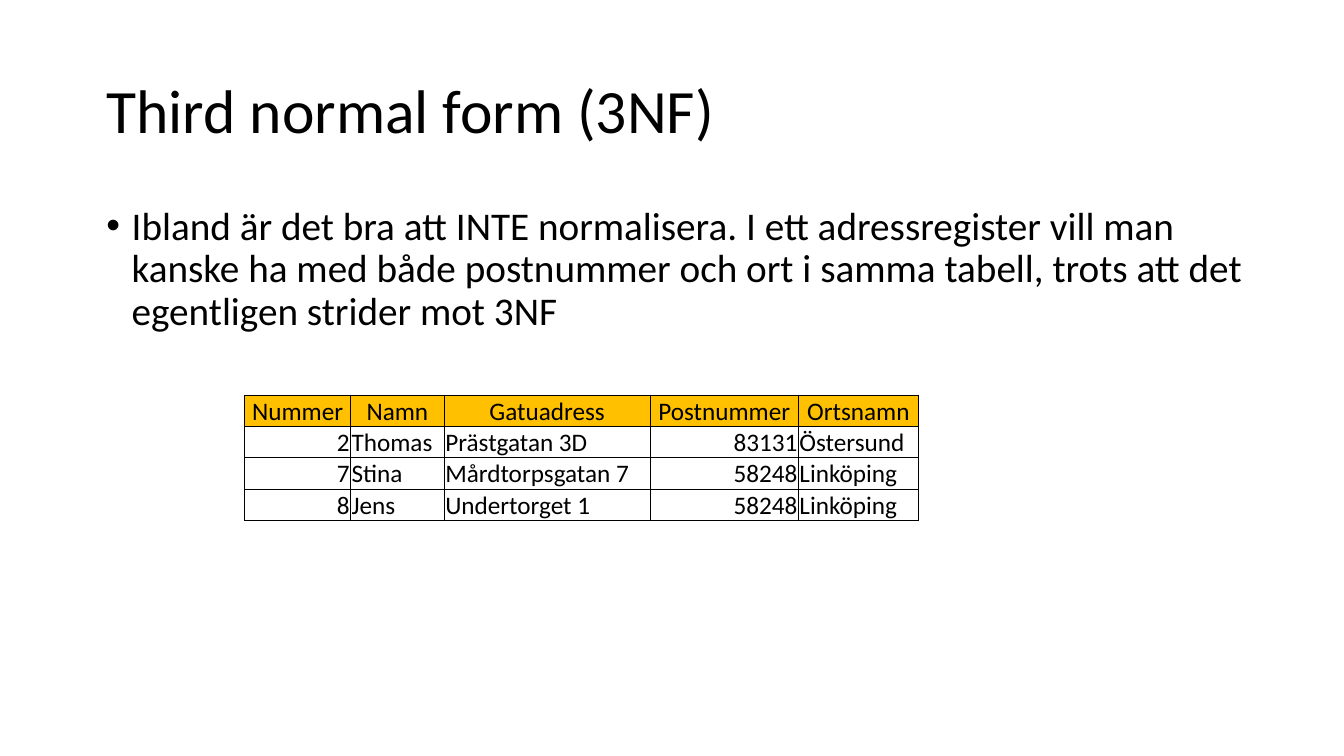
"""Build a slide on when to leave a table outside third normal form."""
import pptx
import pptx.dml.color
import pptx.enum.text
import pptx.oxml
import pptx.oxml.ns
import pptx.util
from lxml import etree

Pt = pptx.util.Pt
ALIGN = pptx.enum.text.PP_ALIGN
ANCHOR = pptx.enum.text.MSO_ANCHOR
qn = pptx.oxml.ns.qn

FONT = "Calibri"
BLACK = "000000"
AMBER = "FFC000"
TEXT_LEFT, TEXT_WIDTH = 69, 828

HEADINGS = ("Nummer", "Namn", "Gatuadress", "Postnummer", "Ortsnamn")
ADDRESSES = (
    ("2", "Thomas", "Prästgatan 3D", "83131", "Östersund"),
    ("7", "Stina", "Mårdtorpsgatan 7", "58248", "Linköping"),
    ("8", "Jens", "Undertorget 1", "58248", "Linköping"),
)
COLUMN_WIDTHS = (75.6, 67, 147, 106, 85.7)
ROW_HEIGHT = 21


def color(hex_value):
    """Return the RGB colour for a hex string."""
    return pptx.dml.color.RGBColor.from_string(hex_value)


def set_font(paragraph, size):
    """Set the common typeface and colour at the given size."""
    paragraph.font.name = FONT
    paragraph.font.size = Pt(size)
    paragraph.font.color.rgb = color(BLACK)


def add_bullet(paragraph, indent):
    """Give a paragraph a round bullet with a hanging indent."""
    properties = paragraph._p.get_or_add_pPr()
    properties.set("marL", str(Pt(indent)))
    properties.set("indent", str(-Pt(indent)))
    etree.SubElement(properties, qn("a:buFont"), typeface="Arial")
    etree.SubElement(properties, qn("a:buChar"), char="•")


def add_text(slide, text, top, height, size, anchor, bullet=False):
    """Add a wrapped text block across the content width."""
    box = slide.shapes.add_textbox(Pt(TEXT_LEFT), Pt(top), Pt(TEXT_WIDTH), Pt(height))
    frame = box.text_frame
    frame.word_wrap = True
    frame.vertical_anchor = anchor
    paragraph = frame.paragraphs[0]
    paragraph.text = text
    paragraph.line_spacing = 0.9
    if bullet:
        add_bullet(paragraph, 18)
    set_font(paragraph, size)


def add_borders(cell, width):
    """Draw a solid black line on every side of a cell."""
    properties = cell._tc.get_or_add_tcPr()
    for side in ("a:lnL", "a:lnR", "a:lnT", "a:lnB"):
        line = etree.SubElement(properties, qn(side), w=str(Pt(width)))
        fill = etree.SubElement(line, qn("a:solidFill"))
        etree.SubElement(fill, qn("a:srgbClr"), val=BLACK)


def fill_cell(cell, text, alignment, fill=None):
    """Write and style one table cell."""
    cell.margin_left = cell.margin_right = cell.margin_top = Pt(0.75)
    cell.margin_bottom = Pt(0)
    cell.vertical_anchor = ANCHOR.MIDDLE
    add_borders(cell, 0.5)
    if fill:
        cell.fill.solid()
        cell.fill.fore_color.rgb = color(fill)
    else:
        cell.fill.background()
    paragraph = cell.text_frame.paragraphs[0]
    paragraph.text = text
    paragraph.alignment = alignment
    set_font(paragraph, 18)


def add_address_table(slide, left, top):
    """Add the address register with its heading row."""
    row_count = len(ADDRESSES) + 1
    table = slide.shapes.add_table(
        row_count, len(HEADINGS), Pt(left), Pt(top),
        Pt(sum(COLUMN_WIDTHS)), Pt(ROW_HEIGHT * row_count),
    ).table
    table.first_row = table.horz_banding = False
    for column, width in zip(table.columns, COLUMN_WIDTHS):
        column.width = Pt(width)
    for index, heading in enumerate(HEADINGS):
        fill_cell(table.cell(0, index), heading, ALIGN.CENTER, AMBER)
    for row, address in enumerate(ADDRESSES, 1):
        for index, value in enumerate(address):
            alignment = ALIGN.RIGHT if value.isdigit() else ALIGN.LEFT
            fill_cell(table.cell(row, index), value, alignment)


def main():
    """Build and save the slide."""
    presentation = pptx.Presentation()
    presentation.slide_width = Pt(960)
    presentation.slide_height = Pt(540)
    slide = presentation.slides.add_slide(presentation.slide_layouts[6])
    add_text(slide, "Third normal form (3NF)", 28.8, 104.4, 44, ANCHOR.MIDDLE)
    add_text(
        slide,
        "Ibland är det bra att INTE normalisera. I ett adressregister vill man "
        "kanske ha med både postnummer och ort i samma tabell, trots att det "
        "egentligen strider mot 3NF",
        144, 314.6, 28, ANCHOR.TOP, bullet=True,
    )
    add_address_table(slide, 174.8, 282.2)
    presentation.save("out.pptx")


if __name__ == "__main__":
    main()
